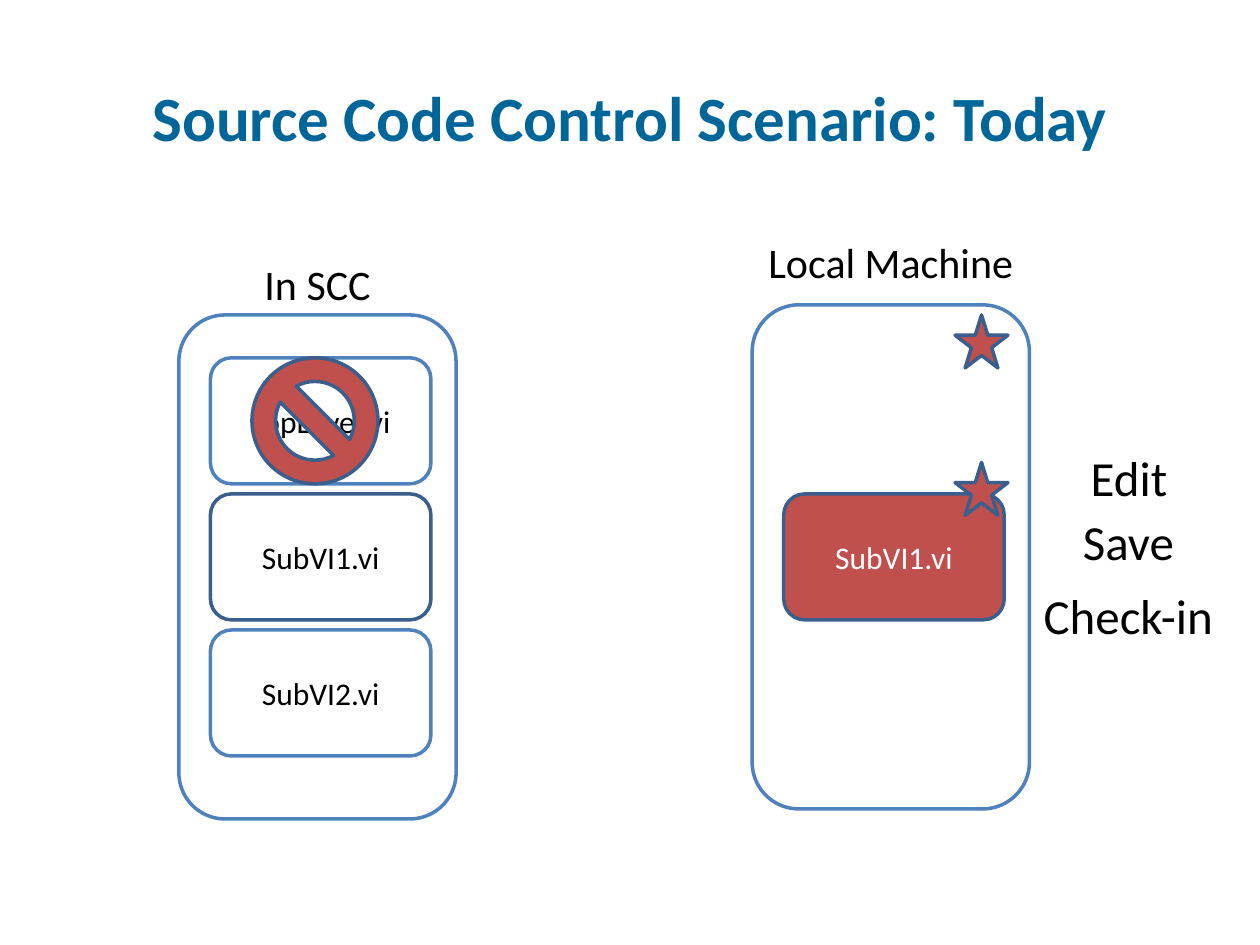
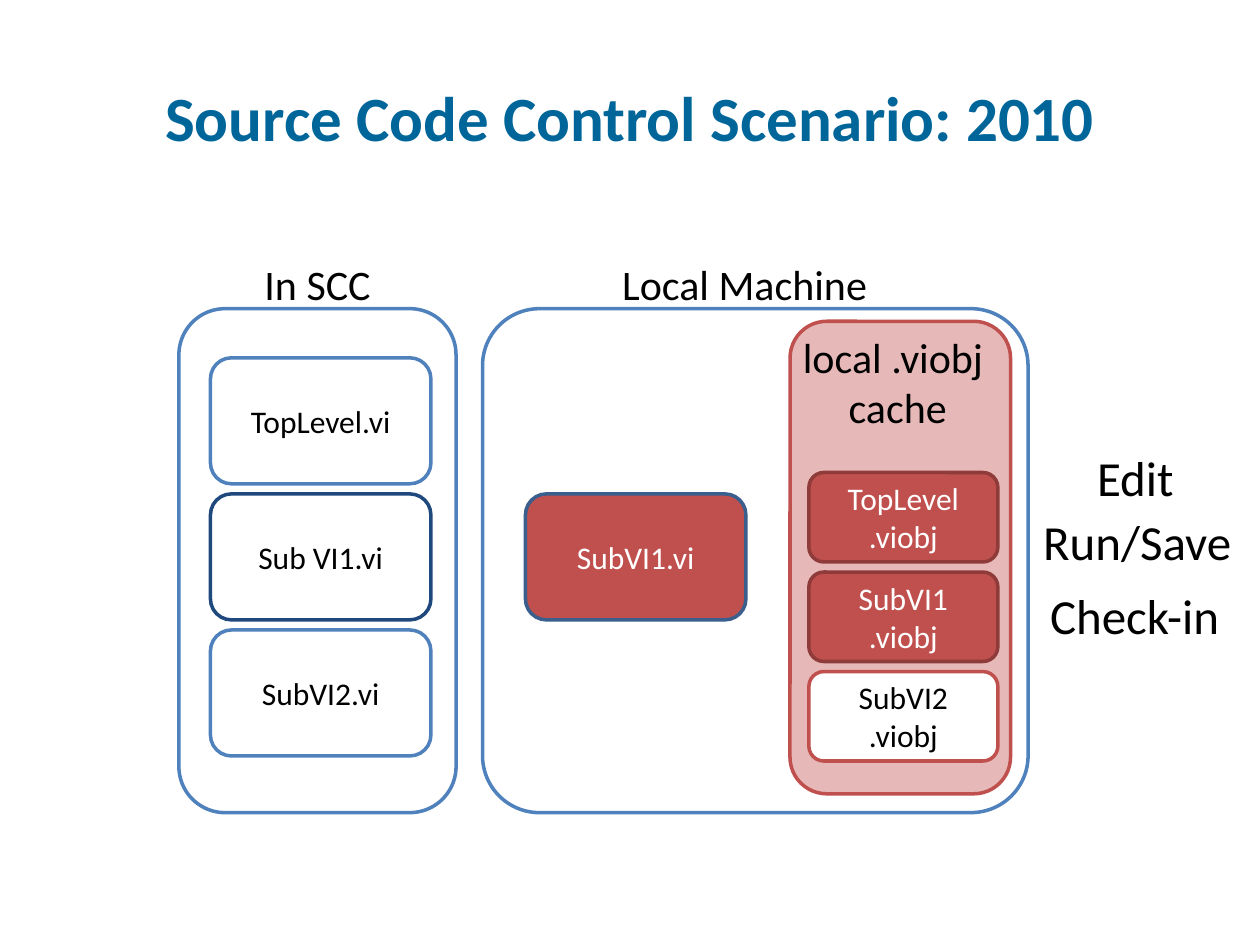
from pptx import Presentation
from pptx.dml.color import RGBColor
from pptx.enum.shapes import MSO_SHAPE
from pptx.enum.text import MSO_ANCHOR, MSO_AUTO_SIZE, PP_ALIGN
from pptx.util import Inches, Pt

FONT = "Calibri"
WHITE, BLACK, TITLE_BLUE = "FFFFFF", "000000", "006699"
BLUE, STEEL, NAVY = "4F81BD", "3A5F8C", "1F497D"
RED, DARK_RED, PINK = "C0504D", "8E3B39", "E6B9B8"


def add_text(slide, text, left, top, width, height, size=24, color=BLACK, bold=False,
             align=PP_ALIGN.CENTER, anchor=MSO_ANCHOR.TOP, wrap=False, shape=None):
    """Write text into the given shape, or into a new text box."""
    if shape is None:
        shape = slide.shapes.add_textbox(Inches(left), Inches(top), Inches(width), Inches(height))
        if not wrap:
            shape.text_frame.auto_size = MSO_AUTO_SIZE.SHAPE_TO_FIT_TEXT
    frame = shape.text_frame
    frame.word_wrap = wrap
    frame.vertical_anchor = anchor
    frame.text = text
    for paragraph in frame.paragraphs:
        paragraph.alignment = align
        paragraph.font.name = FONT
        paragraph.font.size = Pt(size)
        paragraph.font.bold = bold
        paragraph.font.color.rgb = RGBColor.from_string(color)


def add_box(slide, left, top, width, height, fill=WHITE, line=BLUE, text=None,
            kind=MSO_SHAPE.ROUNDED_RECTANGLE):
    """Draw an outlined shape, with white text on red and black text on white."""
    shape = slide.shapes.add_shape(kind, Inches(left), Inches(top), Inches(width), Inches(height))
    shape.shadow.inherit = False
    shape.fill.solid()
    shape.fill.fore_color.rgb = RGBColor.from_string(fill)
    shape.line.color.rgb = RGBColor.from_string(line)
    shape.line.width = Pt(2)
    if text:
        add_text(slide, text, left, top, width, height, size=18, wrap=True, shape=shape,
                 color=WHITE if fill == RED else BLACK, anchor=MSO_ANCHOR.MIDDLE)
    return shape


presentation = Presentation()
presentation.slide_width = Inches(10)
presentation.slide_height = Inches(7.5)

FILE_WIDTH, FILE_HEIGHT = 1.75, 1
FILE_TOPS = [2.84 + 1.08 * row for row in range(3)]
ACTION_TOPS = [3.5, 4.01, 4.6]

# What differs between the scenarios; actions are (text, left, width)
scenarios = [
    {"title": "Today", "scc_top": 2.5, "middle": ("SubVI1.vi", STEEL),
     "machine": (5.97, 2.42, 2.2), "machine_label": (6, 1.83), "edited_left": 6.22,
     "actions": [("Edit", 8.55, 0.82), ("Save", 8.49, 0.93), ("Check-in", 8.17, 1.57)]},
    {"title": "2010", "scc_top": 2.45, "middle": ("Sub VI1.vi", NAVY),
     "machine": (3.83, 2.45, 4.33), "machine_label": (4.84, 2), "edited_left": 4.17,
     "actions": [("Edit", 8.6, 0.82), ("Run/Save", 8.17, 1.71), ("Check-in", 8.22, 1.57)]},
]

# Parts shared by both slides
slides = []
for scenario in scenarios:
    slide = presentation.slides.add_slide(presentation.slide_layouts[6])
    slides.append(slide)
    add_text(slide, f"Source Code Control Scenario: {scenario['title']}", 0.5, 0.3, 9, 1.25,
             size=36, color=TITLE_BLUE, bold=True, anchor=MSO_ANCHOR.MIDDLE, wrap=True)

    # Source code control and its files
    add_box(slide, 1.42, scenario["scc_top"], 2.2, 4)
    add_text(slide, "In SCC", 2, 2, 1.05, 0.5, align=PP_ALIGN.LEFT)
    files = [("TopLevel.vi", BLUE), scenario["middle"], ("SubVI2.vi", BLUE)]
    for (name, line), top in zip(files, FILE_TOPS):
        add_box(slide, 1.67, top, FILE_WIDTH, FILE_HEIGHT, line=line, text=name)

    # Local machine and the edited file
    left, top, width = scenario["machine"]
    machine = add_box(slide, left, top, width, 4)
    machine.adjustments[0] = 0.37 / min(width, 4) if width < 4 else 0.113
    label_left, label_top = scenario["machine_label"]
    add_text(slide, "Local Machine", label_left, label_top, 2.16, 0.5, align=PP_ALIGN.LEFT)
    add_box(slide, scenario["edited_left"], FILE_TOPS[1], FILE_WIDTH, FILE_HEIGHT,
            fill=RED, line=STEEL, text="SubVI1.vi")

    # Steps of the user
    for (action, left, width), top in zip(scenario["actions"], ACTION_TOPS):
        add_text(slide, action, left, top, width, 0.57, size=28)

today, with_cache = slides

# Today: blocked top level file and change marks
add_box(today, 2, FILE_TOPS[0], 1, 1, fill=RED, line=STEEL, kind=MSO_SHAPE.NO_SYMBOL)
for star_top in (3.67, 2.5):
    add_box(today, 7.58, star_top, 0.42, 0.42, fill=RED, line=STEEL, kind=MSO_SHAPE.STAR_5_POINT)

# 2010: local cache of compiled objects
add_box(with_cache, 6.27, 2.55, 1.75, 3.75, fill=PINK, line=RED)
add_text(with_cache, "local .viobj \ncache", 6.25, 2.58, 1.75, 0.91, wrap=True)
cached = [("TopLevel", RED, DARK_RED), ("SubVI1", RED, DARK_RED), ("SubVI2", WHITE, RED)]
for row, (name, fill, line) in enumerate(cached):
    add_box(with_cache, 6.42, 3.75 + 0.79 * row, 1.5, 0.71, fill=fill, line=line,
            text=f"{name}\v.viobj")

presentation.save("out.pptx")
